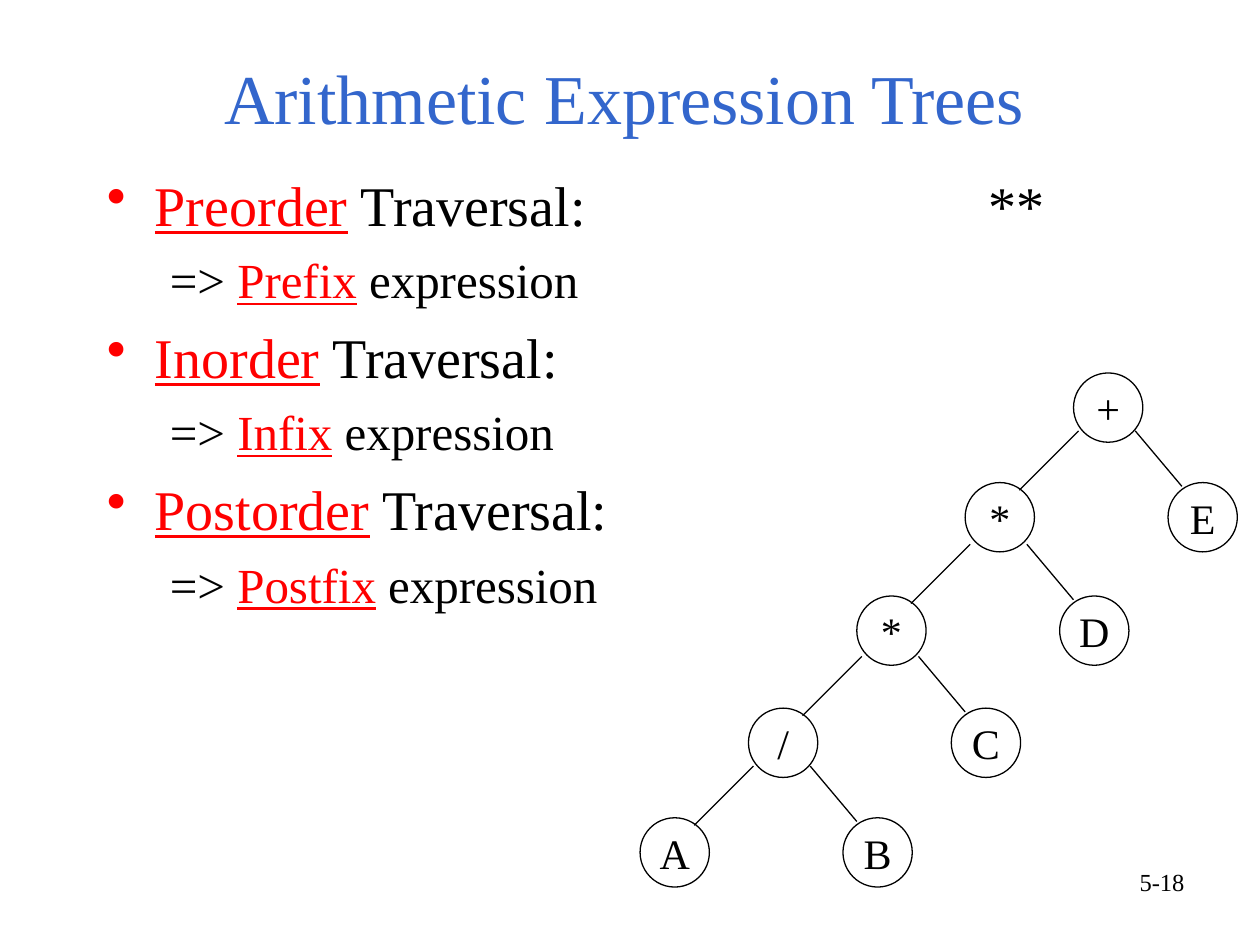
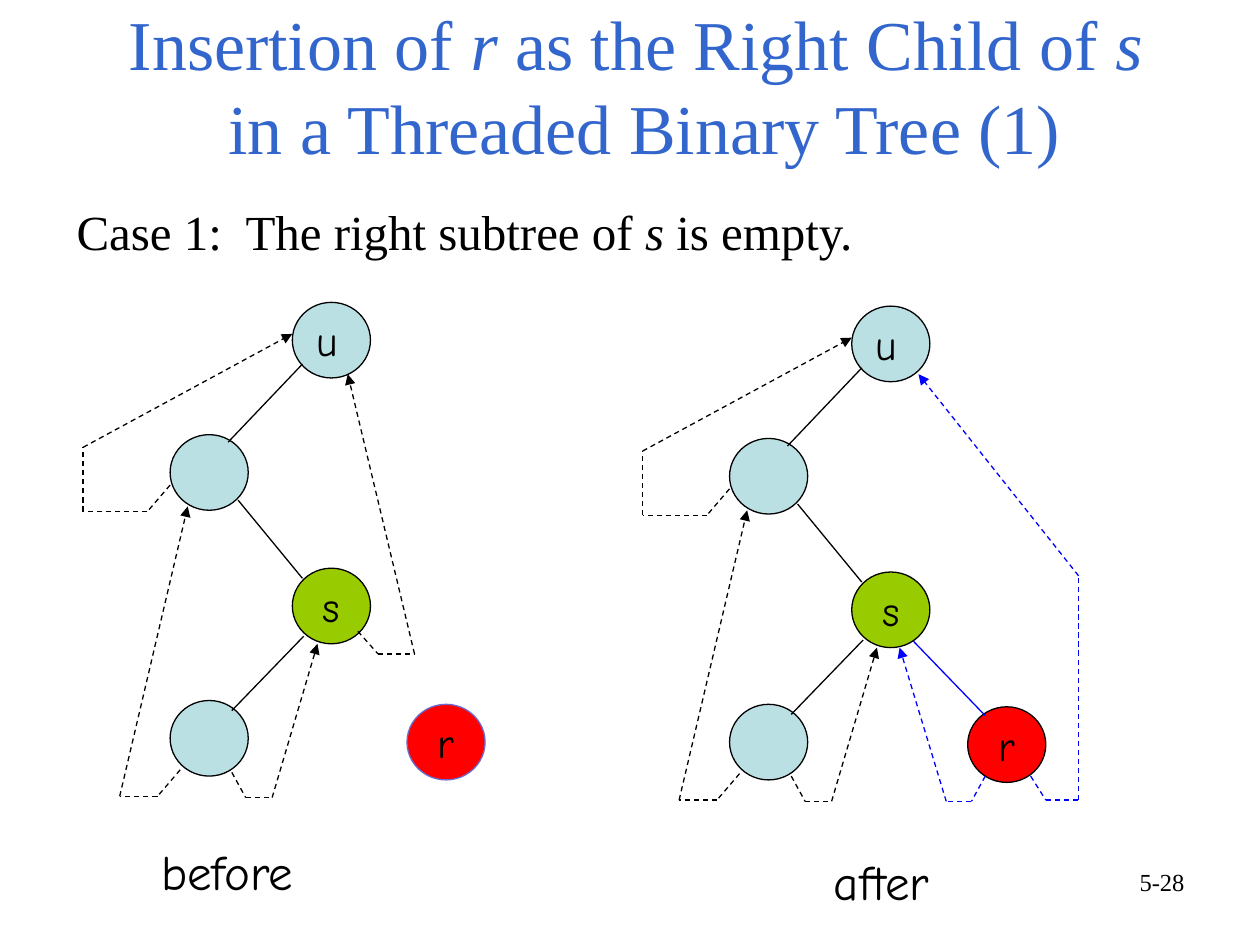
from lxml.etree import SubElement
from pptx import Presentation
from pptx.dml.color import RGBColor
from pptx.enum.dml import MSO_LINE
from pptx.enum.shapes import MSO_CONNECTOR, MSO_SHAPE
from pptx.enum.text import MSO_ANCHOR, MSO_AUTO_SIZE, PP_ALIGN
from pptx.oxml.ns import qn
from pptx.util import Inches, Pt

COLORS = {
    "title": "3366CC",
    "ink": "000000",
    "key": "FF0000",
    "new_link": "0000FF",
    "node": "BBE0E3",
    "parent": "99CC00",
    "inserted": "FF0000",
    "loose_outline": "6B6BCF",
}
SERIF, HAND = "Times New Roman", "Comic Neue"
KEY = {"color": "key", "underline": True}
ITALIC = {"italic": True}

# Node diameters and the shift from the "before" tree to the "after" tree
EXPRESSION_NODE = (0.55, 0.55)
THREADED_NODE = (0.62, 0.6)
BEFORE, AFTER = (0, 0), (4.44, 0.03)


def rgb(name):
    return RGBColor.from_string(COLORS[name])


def write(paragraph, runs, **base):
    """Add (text, overrides) runs to a paragraph; None is a line break."""
    for item in runs:
        if item is None:
            line_break = paragraph._p.add_br()
            SubElement(line_break, qn("a:rPr"), sz=str(base["size"] * 100))
            continue
        text, overrides = item
        style = {"name": SERIF, "color": "ink", **base, **overrides}
        run = paragraph.add_run()
        run.text = text
        run.font.color.rgb = rgb(style.pop("color"))
        style["size"] = Pt(style["size"])
        for attribute, value in style.items():
            setattr(run.font, attribute, value)


def add_title(slide, box, runs):
    title = slide.shapes.title
    title.left, title.top, title.width, title.height = map(Inches, box)
    frame = title.text_frame
    settings = {"word_wrap": True, "auto_size": MSO_AUTO_SIZE.NONE,
                "vertical_anchor": MSO_ANCHOR.BOTTOM}
    for attribute, value in settings.items():
        setattr(frame, attribute, value)
    paragraph = frame.paragraphs[0]
    paragraph.alignment = PP_ALIGN.CENTER
    write(paragraph, runs, size=40, color="title")


def add_frame(slide, box):
    frame = slide.shapes.add_textbox(*map(Inches, box)).text_frame
    frame.word_wrap = True
    return frame


def add_label(slide, box, runs, size=28, font=SERIF, space=17.5,
              align=PP_ALIGN.LEFT):
    paragraph = add_frame(slide, box).paragraphs[0]
    paragraph.alignment = align
    paragraph.space_before = Pt(space)
    write(paragraph, runs, size=size, name=font)


def add_page_number(slide, number):
    add_label(slide, (7.17, 6.83, 2.33, 0.52), [(number, {})], size=14,
              space=0, align=PP_ALIGN.RIGHT)


def indent(paragraph, left, first):
    properties = paragraph._p.get_or_add_pPr()
    properties.set("marL", str(Inches(left)))
    properties.set("indent", str(Inches(first)))
    return properties


def add_traversals(slide, box, traversals):
    """List each traversal as a bullet with the notation it yields below."""
    frame = add_frame(slide, box)
    for index, (order, notation, mark) in enumerate(traversals):
        heading = frame.add_paragraph() if index else frame.paragraphs[0]
        heading.space_before = Pt(8)
        properties = indent(heading, 0.38, -0.38)
        bullet_color = SubElement(properties, qn("a:buClr"))
        SubElement(bullet_color, qn("a:srgbClr"), val=COLORS["key"])
        SubElement(properties, qn("a:buChar"), char="•")
        tail = " Traversal:"
        if mark:
            tabs = SubElement(properties, qn("a:tabLst"))
            SubElement(tabs, qn("a:tab"), pos=str(Inches(7)), algn="l")
            tail += "\t" + mark
        write(heading, [(order, KEY), (tail, {})], size=32)

        result = frame.add_paragraph()
        result.level = 1
        result.space_before = Pt(7)
        indent(result, 0.81, -0.31)
        write(result, [("=> ", {}), (notation, KEY), (" expression", {})],
              size=28)


def add_node(slide, x, y, size, label="", fill=None, outline="ink",
             font=SERIF, align=PP_ALIGN.CENTER):
    node = slide.shapes.add_shape(MSO_SHAPE.OVAL,
                                  *map(Inches, (x, y, *size)))
    node.shadow.inherit = False
    if fill:
        node.fill.solid()
        node.fill.fore_color.rgb = rgb(fill)
    else:
        node.fill.background()
    node.line.color.rgb = rgb(outline)
    node.line.width = Pt(0.75)
    if label:
        frame = node.text_frame
        frame.word_wrap = False
        frame.vertical_anchor = MSO_ANCHOR.MIDDLE
        frame.paragraphs[0].alignment = align
        write(frame.paragraphs[0], [(label, {})], size=24, name=font)


def add_link(slide, start, end, color="ink", dashed=False, arrow=False):
    link = slide.shapes.add_connector(MSO_CONNECTOR.STRAIGHT,
                                      *map(Inches, (*start, *end)))
    link.line.color.rgb = rgb(color)
    link.line.width = Pt(0.75)
    if dashed:
        link.line.dash_style = MSO_LINE.DASH
    if arrow:
        SubElement(link.line._get_or_add_ln(), qn("a:tailEnd"),
                   type="triangle")
    SubElement(link._element.spPr, qn("a:effectLst"))


def add_thread(slide, points, shift=(0, 0), color="ink"):
    """Draw a dashed path whose last stretch ends in an arrowhead."""
    points = [(x + shift[0], y + shift[1]) for x, y in points]
    for index, (start, end) in enumerate(zip(points, points[1:])):
        add_link(slide, start, end, color, dashed=True,
                 arrow=index == len(points) - 2)


def add_expression_tree(slide):
    """Each operator's left child is the next operator, down to leaf A."""
    tops = [2.96, 3.83, 4.73, 5.62, 6.49]
    left_chain, right_leaves = "+**/A", "EDCB"
    for level, (top, label) in enumerate(zip(tops, left_chain)):
        x = 8.52 - 0.86 * level
        add_node(slide, x, top, EXPRESSION_NODE, label)
        if level < len(right_leaves):
            below = tops[level + 1]
            add_node(slide, x + 0.75, below, EXPRESSION_NODE,
                     right_leaves[level])
            add_link(slide, (x + 0.04, below - 0.41),
                     (x - 0.43, below + 0.06))
            add_link(slide, (x + 0.49, below - 0.41),
                     (x + 0.86, below + 0.03))


def add_threaded_tree(slide, shift):
    """Draw the nodes, edges and threads that both states share."""
    dx, dy = shift
    nodes = [
        (2.32, 2.4, "u", "node", PP_ALIGN.LEFT),
        (1.35, 3.45, "", "node", PP_ALIGN.CENTER),
        (2.32, 4.51, "s", "parent", PP_ALIGN.CENTER),
        (1.35, 5.56, "", "node", PP_ALIGN.CENTER),
    ]
    edges = [
        ((2.4, 2.89), (1.81, 3.51)),
        ((1.89, 3.97), (2.4, 4.59)),
        ((2.41, 5.05), (1.84, 5.64)),
    ]
    threads = [
        [(1.35, 3.85), (1.17, 4.06), (0.66, 4.06), (0.66, 3.55),
         (2.32, 2.65)],
        [(1.43, 6.11), (1.25, 6.32), (0.95, 6.32), (1.49, 4.02)],
        [(1.84, 6.13), (1.95, 6.33), (2.16, 6.33), (2.52, 5.11)],
    ]
    for x, y, label, fill, align in nodes:
        add_node(slide, x + dx, y + dy, THREADED_NODE, label, fill,
                 font=HAND, align=align)
    for (x1, y1), (x2, y2) in edges:
        add_link(slide, (x1 + dx, y1 + dy), (x2 + dx, y2 + dy))
    for points in threads:
        add_thread(slide, points, shift)


def build_expression_slide(slide):
    add_title(slide, (0.27, 0.38, 9.37, 0.77),
              [("Arithmetic Expression Trees", {})])
    add_traversals(slide, (0.75, 1.3, 8.42, 3.71), [
        ("Preorder", "Prefix", "**"),
        ("Inorder", "Infix", ""),
        ("Postorder", "Postfix", ""),
    ])
    add_expression_tree(slide)
    add_page_number(slide, "5-18")


def build_insertion_slide(slide):
    add_title(slide, (0.75, 0.62, 8.73, 0.77), [
        ("Insertion of ", {}), ("r", ITALIC),
        (" as the Right Child of ", {}), ("s ", ITALIC), None,
        ("in a Threaded Binary Tree (1)", {}),
    ])
    add_label(slide, (0.51, 1.55, 6.47, 0.57), [
        ("Case 1:  The right subtree of ", {}), ("s", ITALIC),
        (" is empty.", {}),
    ])

    # Before: r stands alone and s is threaded to u
    add_threaded_tree(slide, BEFORE)
    add_node(slide, 3.23, 5.59, THREADED_NODE, "r", "inserted",
             "loose_outline", HAND)
    add_thread(slide, [(2.84, 5.01), (3, 5.19), (3.29, 5.19), (2.76, 2.97)])
    add_label(slide, (1.18, 6.63, 1.76, 0.57), [("before", {})], font=HAND)

    # After: r hangs from s and takes over the thread to u
    add_threaded_tree(slide, AFTER)
    add_node(slide, 7.68, 5.61, THREADED_NODE, "r", "inserted", font=HAND)
    add_link(slide, (7.25, 5.09), (7.82, 5.68), "new_link")
    add_thread(slide, [(7.82, 6.16), (7.71, 6.36), (7.51, 6.36),
                       (7.14, 5.14)], color="new_link")
    add_thread(slide, [(8.18, 6.16), (8.3, 6.35), (8.56, 6.35),
                       (8.56, 4.57), (7.29, 2.97)], color="new_link")
    add_label(slide, (6.52, 6.71, 1.52, 0.57), [("after", {})], font=HAND)
    add_page_number(slide, "5-28")


def main():
    deck = Presentation()
    deck.slide_width, deck.slide_height = Inches(10), Inches(7.5)
    title_only = deck.slide_layouts[5]
    for build in (build_expression_slide, build_insertion_slide):
        build(deck.slides.add_slide(title_only))
    deck.save("out.pptx")


if __name__ == "__main__":
    main()
